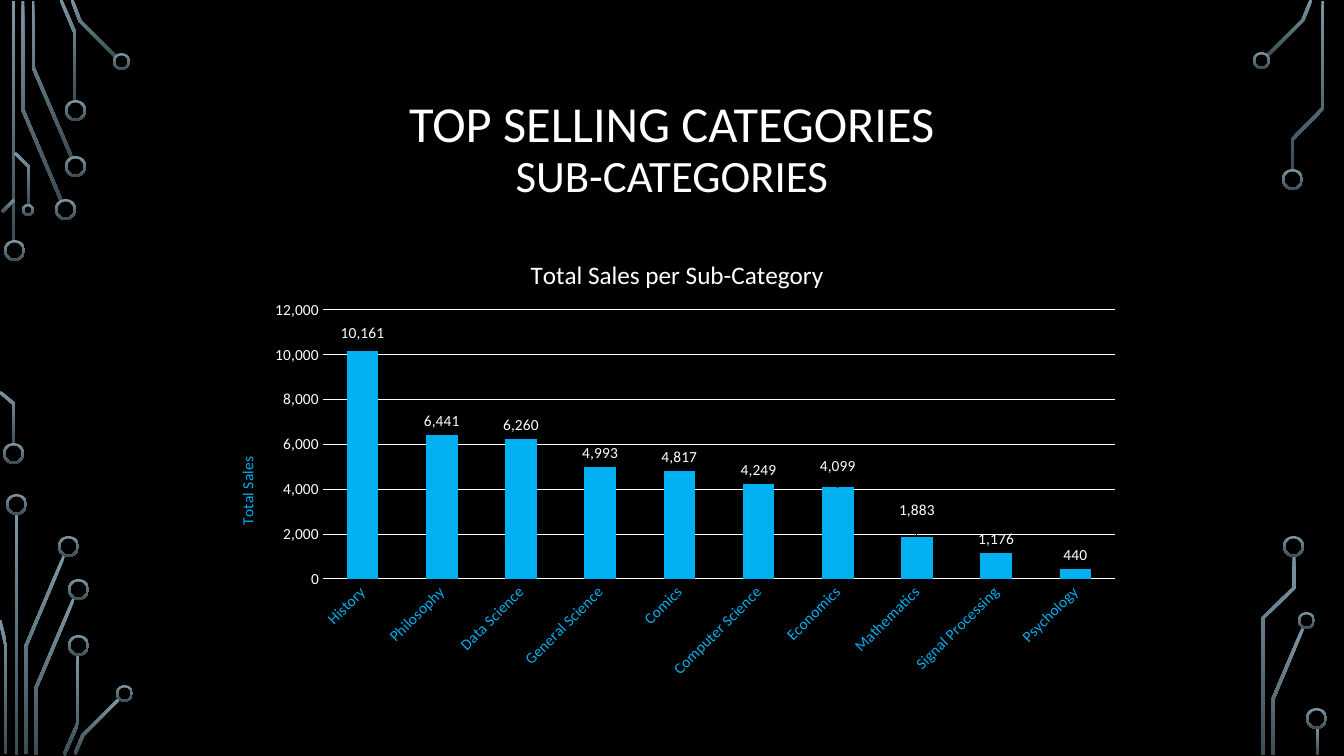
import math
from typing import NamedTuple

from lxml import etree
from pptx import Presentation
from pptx import util as u
from pptx.chart.data import CategoryChartData
from pptx.dml.color import RGBColor
from pptx.enum import chart as charts, shapes, text
from pptx.oxml.ns import qn

EMU_PER_PX = 914400 / 100.8
FONT = "Calibri"
WHITE, BLUE, BLACK = "FFFFFF", "00B0F0", "000000"
TRACE_TOP, TRACE_BOTTOM = "7C96A3", "3B4C54"
TRACE_WIDTH = 3
RING_WIDTH = 2


class Box(NamedTuple):
    left: int
    top: int
    width: int
    height: int


class Ring(NamedTuple):
    left: int
    top: int
    size: int = 21


CHART_BOX = Box(210, 231, 923, 457)
PLOT_BOX = Box(323, 310, 792, 269)

BARS = [Box(12, 1, TRACE_WIDTH, 241), Box(15, 514, TRACE_WIDTH, 241), Box(1316, 727, TRACE_WIDTH, 28)]

TRACES = [
    [(23, 1), (23, 110), (61, 200)],
    [(33, 1), (33, 67), (72, 158)],
    [(61, 0), (75, 33), (75, 101)],
    [(72, 0), (80, 21), (116, 57)],
    [(2, 212), (14, 200)],
    [(0, 392), (14, 404), (14, 445)],
    [(15, 153), (29, 167), (29, 205)],
    [(26, 754), (26, 646), (64, 556)],
    [(0, 620), (6, 646), (6, 754)],
    [(36, 755), (36, 688), (74, 598)],
    [(64, 755), (78, 723), (78, 655)],
    [(75, 754), (83, 735), (119, 699)],
    [(1311, 0), (1303, 20), (1267, 56)],
    [(1323, 1), (1323, 108), (1292, 140), (1292, 170)],
    [(1273, 755), (1273, 699), (1303, 628)],
    [(1294, 556), (1294, 588), (1263, 618), (1263, 755)],
]

RINGS = [
    Ring(4, 240), Ring(3, 443), Ring(55, 199), Ring(65, 156), Ring(65, 100),
    Ring(113, 53, 17), Ring(22, 204, 12), Ring(6, 494), Ring(58, 536),
    Ring(68, 579), Ring(68, 635), Ring(116, 685, 17), Ring(1253, 52, 17),
    Ring(1282, 169), Ring(1298, 612, 17), Ring(1283, 536), Ring(1306, 708),
]

SALES = {
    "History": 10161, "Philosophy": 6441, "Data Science": 6260,
    "General Science": 4993, "Comics": 4817, "Computer Science": 4249,
    "Economics": 4099, "Mathematics": 1883, "Signal Processing": 1176,
    "Psychology": 440,
}
RAISED_LABELS = {0: 5, 6: 7, 7: 13}


def px(length: float) -> u.Emu:
    return u.Emu(round(length * EMU_PER_PX))


def emu_box(box: Box) -> list:
    return [px(length) for length in box]


def color(value: str) -> RGBColor:
    return RGBColor.from_string(value)


def style_font(font, size: int, value: str) -> None:
    font.name = FONT
    font.size = u.Pt(size)
    font.bold = False
    font.color.rgb = color(value)


def style_trace(shape) -> None:
    shape.shadow.inherit = False
    shape.line.fill.background()
    shape.fill.gradient()
    shape.fill.gradient_angle = 270
    for stop, value in zip(shape.fill.gradient_stops, (TRACE_TOP, TRACE_BOTTOM)):
        stop.color.rgb = color(value)


def trace_side(points: list, offset: float) -> list:
    normals = []
    for (x1, y1), (x2, y2) in zip(points, points[1:]):
        length = math.hypot(x2 - x1, y2 - y1)
        normals.append(((y1 - y2) / length, (x2 - x1) / length))
    side = []
    for (x, y), (ax, ay), (bx, by) in zip(points, normals[:1] + normals, normals + normals[-1:]):
        reach = offset / (1 + ax * bx + ay * by)
        side.append((px(x + (ax + bx) * reach), px(y + (ay + by) * reach)))
    return side


def draw_trace(slide, points: list) -> None:
    half = TRACE_WIDTH / 2
    outline = trace_side(points, half) + trace_side(points, -half)[::-1]
    builder = slide.shapes.build_freeform(*outline[0])
    builder.add_line_segments(outline[1:], close=True)
    style_trace(builder.convert_to_shape())


def draw_ring(slide, ring: Ring) -> None:
    box = Box(ring.left, ring.top, ring.size, ring.size)
    shape = slide.shapes.add_shape(shapes.MSO_SHAPE.DONUT, *emu_box(box))
    shape.adjustments[0] = RING_WIDTH / ring.size
    style_trace(shape)


def draw_title(slide) -> None:
    frame = slide.shapes.add_textbox(*emu_box(Box(126, 69, 1092, 163))).text_frame
    frame.word_wrap = True
    frame.vertical_anchor = text.MSO_ANCHOR.MIDDLE
    frame.text = "TOP SELLING CATEGORIES\vSUB-CATEGORIES"
    paragraph = frame.paragraphs[0]
    paragraph.alignment = text.PP_ALIGN.CENTER
    paragraph.line_spacing = 0.9
    for run, size in zip(paragraph.runs, (36, 32)):
        style_font(run.font, size, WHITE)


def set_layout(parent, index: int, **settings) -> None:
    for old in parent.findall(qn("c:layout")):
        parent.remove(old)
    layout = etree.Element(qn("c:layout"))
    manual = etree.SubElement(layout, qn("c:manualLayout"))
    for name, value in settings.items():
        etree.SubElement(manual, qn(f"c:{name}")).set("val", str(value))
    parent.insert(index, layout)


def chart_fraction(left: int, top: int) -> dict:
    return {
        "xMode": "edge", "yMode": "edge",
        "x": round((left - CHART_BOX.left) / CHART_BOX.width, 4),
        "y": round((top - CHART_BOX.top) / CHART_BOX.height, 4),
    }


def set_title(title, caption: str, size: int, value: str) -> None:
    title.text_frame.text = caption
    style_font(title.text_frame.paragraphs[0].runs[0].font, size, value)


def draw_chart(slide) -> None:
    data = CategoryChartData(number_format="#,##0")
    data.categories = list(SALES)
    data.add_series("Series 1", list(SALES.values()))
    chart = slide.shapes.add_chart(
        charts.XL_CHART_TYPE.COLUMN_CLUSTERED, *emu_box(CHART_BOX), data).chart
    style_font(chart.font, 10, WHITE)
    chart.has_legend = False
    chart.has_title = True
    set_title(chart.chart_title, "Total Sales per Sub-Category", 18, WHITE)

    for axis, value in ((chart.category_axis, BLUE), (chart.value_axis, WHITE)):
        axis.major_tick_mark = axis.minor_tick_mark = charts.XL_TICK_MARK.NONE
        axis.format.line.fill.background()
        style_font(axis.tick_labels.font, 11, value)
    sales_axis = chart.value_axis
    sales_axis.minimum_scale, sales_axis.maximum_scale, sales_axis.major_unit = 0, 12000, 2000
    sales_axis.tick_labels.number_format = "#,##0"
    sales_axis.tick_labels.number_format_is_linked = False
    sales_axis.major_gridlines.format.line.color.rgb = color(WHITE)
    sales_axis.major_gridlines.format.line.width = u.Pt(0.75)
    set_title(sales_axis.axis_title, "Total Sales", 11, BLUE)

    plot = chart.plots[0]
    plot.gap_width = 150
    plot.vary_by_categories = False
    series = plot.series[0]
    series.format.fill.solid()
    series.format.fill.fore_color.rgb = color(BLUE)
    labels = series.data_labels
    labels.show_value = True
    labels.number_format = "#,##0"
    labels.number_format_is_linked = False
    labels.position = charts.XL_LABEL_POSITION.OUTSIDE_END
    style_font(labels.font, 11, WHITE)
    for index in RAISED_LABELS:
        label = series.points[index].data_label
        label.position = charts.XL_LABEL_POSITION.OUTSIDE_END
        style_font(label.font, 11, WHITE)

    root = chart.element
    for label, rise in zip(root.xpath(".//c:dLbl"), RAISED_LABELS.values()):
        set_layout(label, 1, x=0, y=round(-rise / CHART_BOX.height, 4))
    set_layout(root.xpath("./c:chart/c:title")[0], 1, **chart_fraction(526, 253))
    set_layout(root.xpath(".//c:valAx/c:title")[0], 1, **chart_fraction(234, 454))
    set_layout(root.xpath(".//c:plotArea")[0], 0, layoutTarget="inner",
               **chart_fraction(PLOT_BOX.left, PLOT_BOX.top),
               w=round(PLOT_BOX.width / CHART_BOX.width, 4),
               h=round(PLOT_BOX.height / CHART_BOX.height, 4))
    for query, degrees in ((".//c:catAx/c:txPr/a:bodyPr", -45), (".//c:valAx/c:title//a:bodyPr", -90)):
        body = root.xpath(query)[0]
        body.set("rot", str(degrees * 60000))
        body.set("vert", "horz")


def main() -> None:
    presentation = Presentation()
    presentation.slide_width, presentation.slide_height = px(1344), px(756)
    slide = presentation.slides.add_slide(presentation.slide_layouts[6])
    slide.background.fill.solid()
    slide.background.fill.fore_color.rgb = color(BLACK)
    for bar in BARS:
        style_trace(slide.shapes.add_shape(shapes.MSO_SHAPE.RECTANGLE, *emu_box(bar)))
    for points in TRACES:
        draw_trace(slide, points)
    for ring in RINGS:
        draw_ring(slide, ring)
    draw_title(slide)
    draw_chart(slide)
    presentation.save("out.pptx")


if __name__ == "__main__":
    main()
